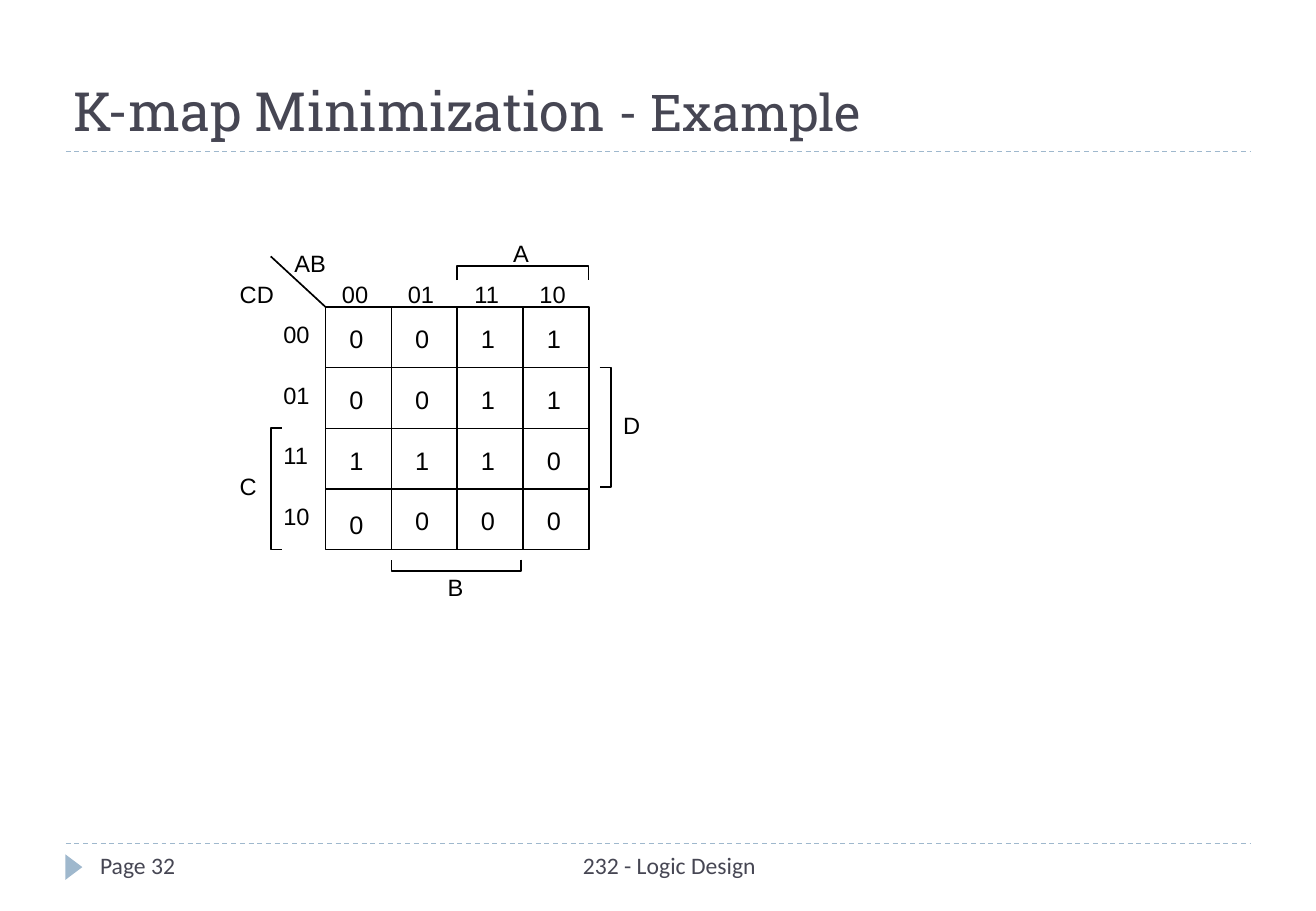
import pptx
import pptx.dml.color
import pptx.enum.dml
import pptx.enum.shapes
import pptx.enum.text
import pptx.oxml
import pptx.util
from pptx.util import Pt

BLACK = pptx.dml.color.RGBColor(0x00, 0x00, 0x00)
SLATE = pptx.dml.color.RGBColor(0x46, 0x46, 0x53)
BLUE = pptx.dml.color.RGBColor(0x9F, 0xB8, 0xCD)
SHAPE = pptx.enum.shapes.MSO_SHAPE
ALIGN = pptx.enum.text.PP_ALIGN
ANCHOR = pptx.enum.text.MSO_ANCHOR

TITLE = [("K-map Minimization", 32), (" - Example", 30)]
PAGE = "Page 32"
COURSE = "232 - Logic Design"
CODES = ["00", "01", "11", "10"]
VALUES = ["0011", "0011", "1110", "0000"]
# name, left, top, width
NAMES = [("AB", 167.4, 145.8, 34), ("CD", 135, 164.2, 36),
         ("A", 297, 139.7, 25), ("B", 258.2, 337.7, 25),
         ("C", 135, 278, 39), ("D", 362.2, 242, 32)]
BRACKETS = [
    [(271, 166), (271, 157.8), (348.9, 157.8), (348.9, 166)],
    [(167, 325.8), (160.5, 325.8), (160.5, 253.9), (167, 253.9)],
    [(309, 331.8), (309, 338.5), (232, 338.5), (232, 331.8)],
    [(355.5, 217.9), (362.2, 217.9), (362.2, 288.8), (355.5, 288.8)],
]
LEFT, TOP = 193, 182
CELL_W, CELL_H = 39, 35.95
COUNT = len(CODES)
RIGHT, BASE = LEFT + COUNT * CELL_W, TOP + COUNT * CELL_H

deck = pptx.Presentation()
deck.slide_width, deck.slide_height = Pt(780), Pt(540)
slide = deck.slides.add_slide(deck.slide_layouts[6])
shapes = slide.shapes


def add_text(runs, left, top, width, height, font="Arial", color=BLACK,
             align=ALIGN.LEFT, anchor=ANCHOR.TOP, space=1.0):
    box = shapes.add_textbox(Pt(left), Pt(top), Pt(width), Pt(height))
    frame = box.text_frame
    frame.word_wrap = True
    frame.vertical_anchor = anchor
    para = frame.paragraphs[0]
    para.alignment = align
    para.line_spacing = space
    for text, size in runs:
        run = para.add_run()
        run.text = text
        run.font.size = Pt(size)
        run.font.name = font
        run.font.color.rgb = color


def add_label(text, left, top, width, align=ALIGN.LEFT):
    add_text([(text, 14)], left, top, width, 23, align=align, space=0.9)


def add_line(x1, y1, x2, y2, color=BLACK, width=1):
    line = shapes.add_connector(pptx.enum.shapes.MSO_CONNECTOR.STRAIGHT,
                                Pt(x1), Pt(y1), Pt(x2), Pt(y2))
    line.line.color.rgb = color
    line.line.width = Pt(width)
    props = line._element.spPr
    props.append(pptx.oxml.parse_xml(
        '<a:effectLst xmlns:a="http://schemas.openxmlformats.org/drawingml/2006/main"/>'))
    return line


def outline(shape):
    shape.shadow.inherit = False
    shape.fill.background()
    shape.line.color.rgb = BLACK
    shape.line.width = Pt(1)


# Title, footer and rules
for y in (90, 500.1):
    rule = add_line(39, y, 740.7, y, BLUE, 0.75)
    rule.line.dash_style = pptx.enum.dml.MSO_LINE.DASH
mark = shapes.add_shape(SHAPE.ISOSCELES_TRIANGLE, Pt(36.3), Pt(509), Pt(15), Pt(10))
mark.rotation = 90
mark.shadow.inherit = False
mark.fill.solid()
mark.fill.fore_color.rgb = BLUE
mark.line.fill.background()
add_text(TITLE, 36.5, 17.4, 692.6, 70.6, "Roboto Slab", SLATE, anchor=ANCHOR.BOTTOM)
add_text([(PAGE, 14)], 52.2, 500.9, 169, 29, "Calibri", SLATE)
add_text([(COURSE, 14)], 247.3, 500.9, 299, 29, "Calibri", SLATE, ALIGN.CENTER)

# Map grid
grid = shapes.add_shape(SHAPE.RECTANGLE, Pt(LEFT), Pt(TOP),
                        Pt(RIGHT - LEFT), Pt(BASE - TOP))
outline(grid)
for i in range(1, COUNT):
    x, y = LEFT + i * CELL_W, TOP + i * CELL_H
    across = add_line(LEFT, y, RIGHT, y)
    down = add_line(x, TOP, x, BASE)
    if 2 * i == COUNT:
        across.begin_connect(grid, 1)
        across.end_connect(grid, 3)
        down.begin_connect(grid, 0)
        down.end_connect(grid, 2)
add_line(LEFT, TOP, 160.5, 152)

# Codes and values
for i, code in enumerate(CODES):
    add_label(code, LEFT + i * CELL_W - 2, 164.2, CELL_W, ALIGN.CENTER)
    add_label(code, 160.9, TOP + i * CELL_H + 6, 31)
for row, digits in enumerate(VALUES):
    for col, digit in enumerate(digits):
        drop = 8.2 if (row, col) == (3, 0) else 6.2
        add_text([(digit, 15)], LEFT + col * CELL_W + 7,
                 TOP + row * CELL_H + drop, 24, 26)

# Variables and their brackets
for name, left, top, width in NAMES:
    add_label(name, left, top, width)
for points in BRACKETS:
    ends = [(Pt(x), Pt(y)) for x, y in points]
    trace = shapes.build_freeform(*ends[0])
    trace.add_line_segments(ends[1:], close=False)
    outline(trace.convert_to_shape())

deck.save("out.pptx")
